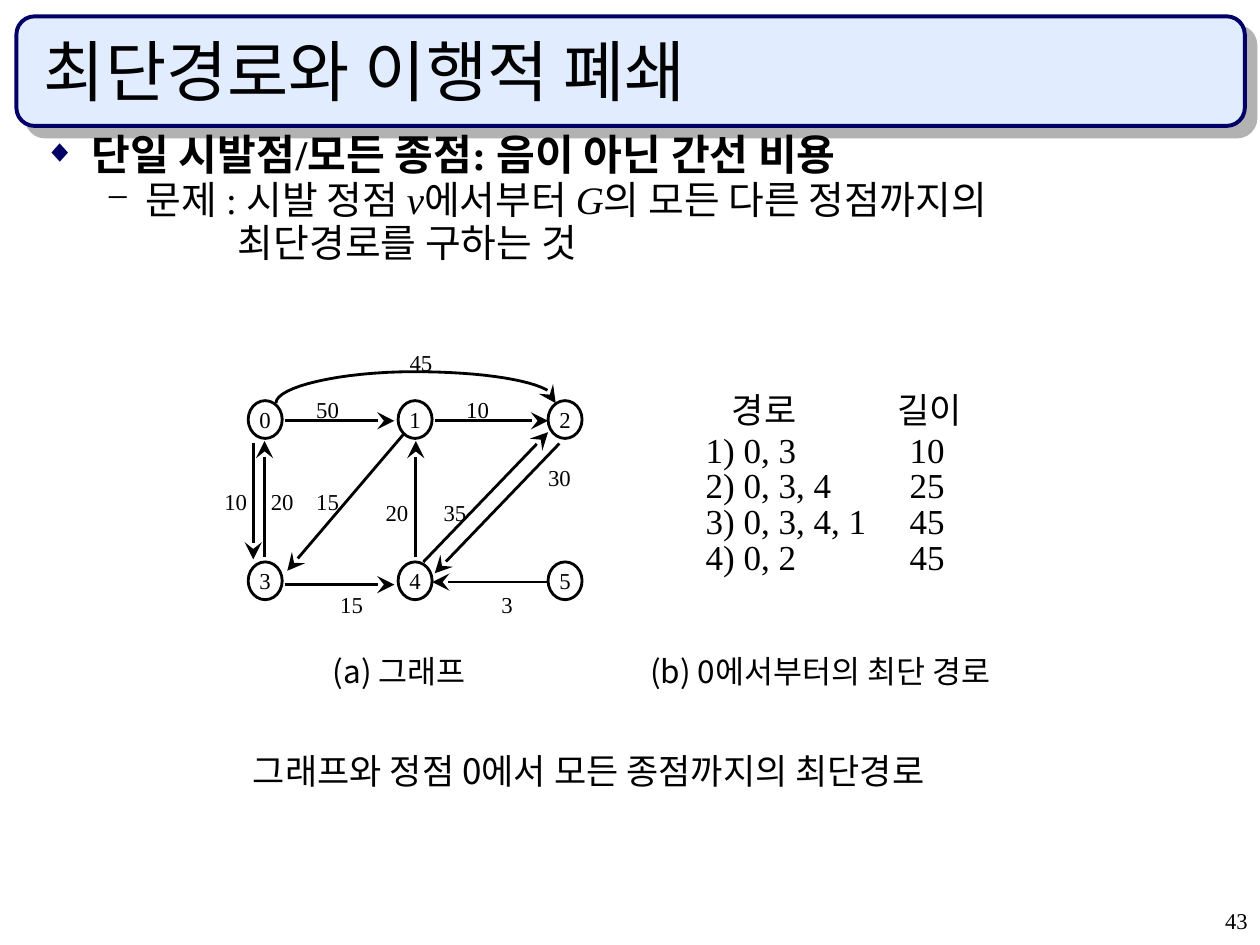
"""Build a slide on single-source shortest paths with a weighted graph and its path list."""
from dataclasses import dataclass

import lxml.etree
import pptx
import pptx.dml.color
import pptx.enum.shapes
import pptx.enum.text
import pptx.oxml.ns
import pptx.util

Inches = pptx.util.Inches
Pt = pptx.util.Pt
SHAPES = pptx.enum.shapes.MSO_SHAPE
ALIGN = pptx.enum.text.PP_ALIGN
ANCHOR = pptx.enum.text.MSO_ANCHOR
qn = pptx.oxml.ns.qn

SERIF = "Times New Roman"
KOREAN = "Noto Sans CJK KR"
BLACK = "000000"
NAVY = "000066"
EDGE_WIDTH = 1.62


@dataclass
class Node:
    name: str
    left: float
    top: float


@dataclass
class Edge:
    start: tuple[float, float]
    end: tuple[float, float]


@dataclass
class Label:
    text: str
    left: float
    top: float
    width: float
    height: float
    size: float
    font: str = SERIF
    spacing: float = 1.0
    inset: float = 0.0
    wrap: bool = False


@dataclass
class BodyLine:
    runs: list[tuple[str, bool]]
    size: float
    left: float
    indent: float
    before: float
    bullet: str = ""
    bullet_color: str = BLACK
    bullet_percent: int = 100
    bold: bool = False


NODES = [Node(str(row * 3 + column), 1.97 + column * 1.19, 3.18 + row * 1.28)
         for row in range(2) for column in range(3)]
EDGES = [
    Edge((2.26, 3.34), (3.13, 3.34)), Edge((3.45, 3.34), (4.35, 3.34)),
    Edge((2.26, 4.64), (3.13, 4.64)), Edge((4.35, 4.62), (3.43, 4.62)),
    Edge((3.2, 3.45), (2.28, 4.53)), Edge((3.36, 4.46), (4.35, 3.43)),
    Edge((4.44, 3.52), (3.45, 4.55)), Edge((3.3, 4.42), (3.3, 3.5)),
    Edge((2.01, 3.52), (2.01, 4.44)), Edge((2.1, 4.42), (2.1, 3.5)),
]
WEIGHTS = [
    ("50", 2.51, 3.14), ("45", 3.25, 2.77), ("10", 3.7, 3.14), ("15", 2.51, 3.87),
    ("20", 2.15, 3.87), ("10", 1.78, 3.87), ("20", 3.06, 3.96), ("35", 3.52, 3.96),
    ("30", 4.35, 3.68), ("3", 3.98, 4.69), ("15", 2.7, 4.69),
]
PATHS = [("1) 0, 3", "10", 3.44), ("2) 0, 3, 4", "25", 3.72),
         ("3) 0, 3, 4, 1", "45", 4.0), ("4) 0, 2", "45", 4.29)]
LABELS = [
    Label("최단경로와 이행적 폐쇄", 0.25, 0.25, 9.42, 0.67, 38, KOREAN, inset=0.1, wrap=True),
    Label("경로", 5.81, 3.12, 0.7, 0.3, 20, spacing=0.9),
    Label("길이", 7.12, 3.12, 0.7, 0.3, 20, spacing=0.9),
    Label("(a) 그래프", 2.64, 5.21, 1.29, 0.27, 18, KOREAN, 0.9, wrap=True),
    Label("(b) 0에서부터의 최단 경로", 5.16, 5.21, 2.99, 0.27, 18, KOREAN, 0.9, wrap=True),
    Label("그래프와 정점 0에서 모든 종점까지의 최단경로", 1.91, 5.9, 5.74, 0.44, 20, KOREAN, inset=0.1),
]
BODY = [
    BodyLine([("단일 시발점/모든 종점: 음이 아닌 간선 비용", False)], 24.1, 0.38, -0.38, 6.5,
             "◆", NAVY, 75, True),
    BodyLine([("문제 : 시발 정점 ", False), ("v", True), ("에서부터 ", False), ("G", True),
              ("의 모든 다른 정점까지의", False)], 22.2, 0.81, -0.31, 6, "−"),
    BodyLine([("최단경로를 구하는 것", False)], 22.2, 1.54, 0, 6),
]


def rgb(value: str):
    return pptx.dml.color.RGBColor.from_string(value)


def add_element(parent, tag: str, **attributes: str):
    return lxml.etree.SubElement(parent, qn(tag), attributes)


def format_run(run, size: float, font: str = SERIF, bold: bool = False, italic: bool = False) -> None:
    run.font.size = Pt(size)
    run.font.name = font
    run.font.bold = bold
    run.font.italic = italic
    run.font.color.rgb = rgb(BLACK)
    add_element(run.font._element, "a:ea", typeface=KOREAN)


def set_insets(text_frame, horizontal: float, vertical: float) -> None:
    text_frame.margin_left = text_frame.margin_right = Inches(horizontal)
    text_frame.margin_top = text_frame.margin_bottom = Inches(vertical)


def add_label(slide, label: Label):
    box = slide.shapes.add_textbox(Inches(label.left), Inches(label.top),
                                   Inches(label.width), Inches(label.height))
    text_frame = box.text_frame
    text_frame.word_wrap = label.wrap
    set_insets(text_frame, label.inset, label.inset / 2)
    text_frame.text = label.text
    paragraph = text_frame.paragraphs[0]
    paragraph.line_spacing = label.spacing
    for run in paragraph.runs:
        format_run(run, label.size, label.font)
    return box


def add_outlined_shape(slide, kind, left: float, top: float, width: float, height: float,
                       fill: str, line: str, line_width: float):
    shape = slide.shapes.add_shape(kind, Inches(left), Inches(top), Inches(width), Inches(height))
    shape.shadow.inherit = False
    shape.fill.solid()
    shape.fill.fore_color.rgb = rgb(fill)
    shape.line.color.rgb = rgb(line)
    shape.line.width = Pt(line_width)
    return shape


def add_banner(slide) -> None:
    banner = add_outlined_shape(slide, SHAPES.ROUNDED_RECTANGLE, 0.13, 0.13, 9.75, 0.87,
                                "E1ECFF", NAVY, 2.25)
    effects = banner.element.spPr.find(qn("a:effectLst"))
    shadow = add_element(effects, "a:outerShdw", blurRad="0", dist=str(Pt(8.5)),
                         dir="2700000", algn="ctr", rotWithShape="0")
    add_element(shadow, "a:srgbClr", val="B2B2B2")


def add_body(slide) -> None:
    box = slide.shapes.add_textbox(Inches(0.25), Inches(1.08), Inches(9.42), Inches(1.08))
    text_frame = box.text_frame
    text_frame.word_wrap = True
    for index, line in enumerate(BODY):
        paragraph = text_frame.add_paragraph() if index else text_frame.paragraphs[0]
        paragraph.alignment = ALIGN.JUSTIFY
        paragraph.line_spacing = 0.7
        paragraph.space_before = Pt(line.before)
        properties = paragraph._p.get_or_add_pPr()
        properties.set("marL", str(Inches(line.left)))
        properties.set("indent", str(Inches(line.indent)))
        if line.bullet:
            color = add_element(properties, "a:buClr")
            add_element(color, "a:srgbClr", val=line.bullet_color)
            add_element(properties, "a:buSzPct", val=str(line.bullet_percent * 1000))
            add_element(properties, "a:buFont", typeface=SERIF)
            add_element(properties, "a:buChar", char=line.bullet)
        for text, italic in line.runs:
            run = paragraph.add_run()
            run.text = text
            format_run(run, line.size, bold=line.bold, italic=italic)


def add_node(slide, node: Node) -> None:
    shape = add_outlined_shape(slide, SHAPES.OVAL, node.left, node.top, 0.27, 0.3,
                               "FFFFFF", BLACK, EDGE_WIDTH)
    text_frame = shape.text_frame
    set_insets(text_frame, 0, 0)
    text_frame.word_wrap = False
    text_frame.vertical_anchor = ANCHOR.MIDDLE
    text_frame.text = node.name
    text_frame.paragraphs[0].alignment = ALIGN.CENTER
    format_run(text_frame.paragraphs[0].runs[0], 13)


def style_arrow(shape) -> None:
    shape.line.color.rgb = rgb(BLACK)
    shape.line.width = Pt(EDGE_WIDTH)
    properties = shape.element.spPr
    add_element(properties.find(qn("a:ln")), "a:tailEnd", type="stealth", w="lg", len="lg")
    add_element(properties, "a:effectLst")


def add_edge(slide, edge: Edge) -> None:
    points = [Inches(value) for value in (*edge.start, *edge.end)]
    style_arrow(slide.shapes.add_connector(pptx.enum.shapes.MSO_CONNECTOR.STRAIGHT, *points))


def curve_points(controls: list[tuple[float, float]], steps: int = 16) -> list[tuple[float, float]]:
    points = []
    for step in range(1, steps + 1):
        t = step / steps
        weights = ((1 - t) ** 3, 3 * t * (1 - t) ** 2, 3 * t ** 2 * (1 - t), t ** 3)
        points.append(tuple(sum(w * point[axis] for w, point in zip(weights, controls))
                            for axis in (0, 1)))
    return points


def add_arc(slide) -> None:
    start, crown, tip = (2.19, 3.2), (3.29, 2.95), (4.41, 3.2)
    points = [start, *curve_points([start, (2.19, 3.07), (2.7, 2.95), crown]),
              *curve_points([crown, (3.82, 2.95), (4.28, 3.02), (4.39, 3.13)]), tip]
    first, *rest = [(Inches(x), Inches(y)) for x, y in points]
    builder = slide.shapes.build_freeform(*first)
    builder.add_line_segments(rest, close=False)
    arc = builder.convert_to_shape()
    arc.fill.background()
    style_arrow(arc)


def add_path_row(slide, path: str, length: str, top: float) -> None:
    box = add_label(slide, Label(f"{path}\t{length}", 5.6, top, 1.95, 0.3, 20, spacing=0.9, wrap=True))
    tabs = add_element(box.text_frame.paragraphs[0]._p.get_or_add_pPr(), "a:tabLst")
    add_element(tabs, "a:tab", pos=str(Inches(1.62)), algn="l")


def main() -> None:
    presentation = pptx.Presentation()
    presentation.slide_width, presentation.slide_height = Inches(10), Inches(7.5)
    slide = presentation.slides.add_slide(presentation.slide_layouts[6])
    add_banner(slide)
    number = add_label(slide, Label("43", 7.92, 7.17, 2.08, 0.33, 12.9, spacing=0.9, inset=0.1, wrap=True))
    number.text_frame.paragraphs[0].alignment = ALIGN.RIGHT
    number.text_frame.paragraphs[0].space_before = Pt(8.8)
    add_body(slide)
    for node in NODES:
        add_node(slide, node)
    for edge in EDGES:
        add_edge(slide, edge)
    add_arc(slide)
    for text, left, top in WEIGHTS:
        add_label(slide, Label(text, left, top, 0.09 * len(text), 0.22, 13))
    for path, length, top in PATHS:
        add_path_row(slide, path, length, top)
    title, *captions = LABELS
    add_label(slide, title).text_frame.vertical_anchor = ANCHOR.BOTTOM
    for caption in captions:
        add_label(slide, caption)
    presentation.save("out.pptx")


if __name__ == "__main__":
    main()
